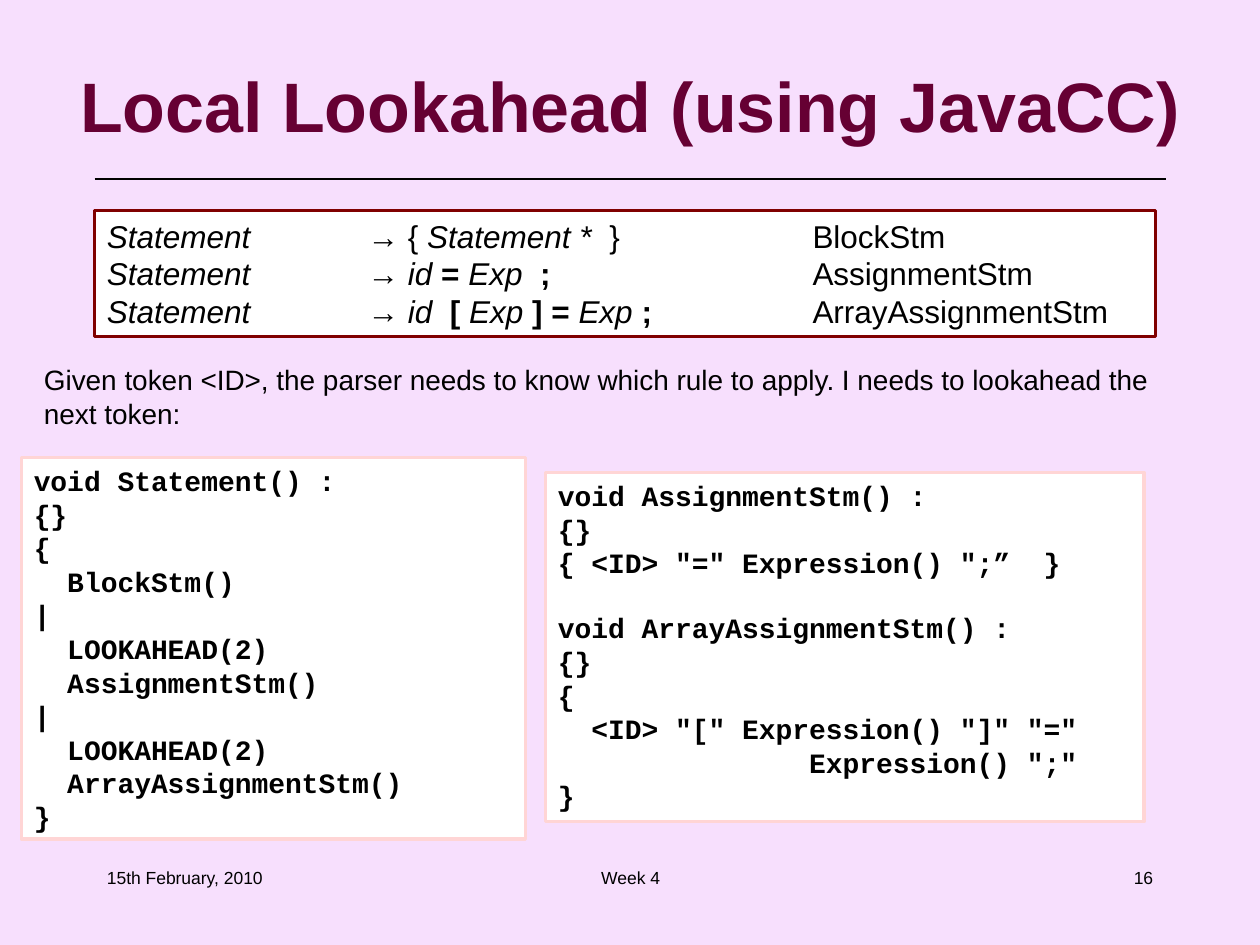
from lxml.etree import SubElement
from pptx import Presentation
from pptx.dml.color import RGBColor
from pptx.enum.shapes import MSO_CONNECTOR, MSO_SHAPE
from pptx.enum.text import MSO_ANCHOR, PP_ALIGN
from pptx.oxml.ns import qn
from pptx.util import Inches, Pt

COLORS = {
    "background": "F7DFFD",
    "title": "660033",
    "text": "000000",
    "panel": "FFFFFF",
    "grammar_border": "800000",
    "code_border": "FFD5D5",
}


def format_run(run, size, font="Arial", color="text", bold=False, italic=False):
    run.font.name = font
    run.font.size = Pt(size)
    run.font.bold = bold
    run.font.italic = italic
    run.font.color.rgb = RGBColor.from_string(COLORS[color])


def add_panel(slide, box, border):
    shape = slide.shapes.add_shape(MSO_SHAPE.RECTANGLE, *map(Inches, box))
    shape.shadow.inherit = False
    shape.fill.solid()
    shape.fill.fore_color.rgb = RGBColor.from_string(COLORS["panel"])
    shape.line.color.rgb = RGBColor.from_string(COLORS[border])
    shape.line.width = Pt(2)
    shape.text_frame.vertical_anchor = MSO_ANCHOR.TOP
    shape.text_frame.word_wrap = True
    return shape.text_frame


presentation = Presentation()
presentation.slide_width = Inches(10)
presentation.slide_height = Inches(7.5)
slide = presentation.slides.add_slide(presentation.slide_layouts[5])
slide.background.fill.solid()
slide.background.fill.fore_color.rgb = RGBColor.from_string(COLORS["background"])

rule = slide.shapes.add_connector(
    MSO_CONNECTOR.STRAIGHT, Inches(0.75), Inches(1.42), Inches(9.25), Inches(1.42)
)
rule.line.color.rgb = RGBColor.from_string(COLORS["text"])
rule.line.width = Pt(0.75)
SubElement(rule._element.spPr, qn("a:effectLst"))

title = slide.shapes.title
title.left, title.top = Inches(0.5), Inches(0.33)
title.width, title.height = Inches(9), Inches(1)
title.text_frame.text = "Local Lookahead (using JavaCC)"
title.text_frame.vertical_anchor = MSO_ANCHOR.MIDDLE
title.text_frame.paragraphs[0].alignment = PP_ALIGN.CENTER
format_run(title.text_frame.paragraphs[0].runs[0], 40, color="title", bold=True)

productions = [
    ([("{", ""), (" Statement *  ", "i"), ("}", "")], "BlockStm"),
    ([("id ", "i"), ("=", "b"), (" Exp  ", "i"), (";", "b")], "AssignmentStm"),
    (
        [("id  ", "i"), ("[", "b"), (" Exp ", "i"), ("] =", "b"), (" Exp ", "i"), (";", "b")],
        "ArrayAssignmentStm",
    ),
]
grammar = add_panel(slide, (0.75, 1.67, 8.42, 1), "grammar_border")
for index, (symbols, name) in enumerate(productions):
    paragraph = grammar.paragraphs[0] if index == 0 else grammar.add_paragraph()
    paragraph.alignment = PP_ALIGN.LEFT
    tab_list = SubElement(paragraph._p.get_or_add_pPr(), qn("a:tabLst"))
    for position in (2, 5.6):
        SubElement(tab_list, qn("a:tab"), pos=str(Inches(position)), algn="l")
    for text, style in [("Statement\t ", "i"), ("→ ", ""), *symbols, ("\t" + name, "")]:
        run = paragraph.add_run()
        run.text = text
        format_run(run, 18, bold=style == "b", italic=style == "i")

statement_code = """void Statement() :
{}
{
  BlockStm()
|
  LOOKAHEAD(2)
  AssignmentStm()
|
  LOOKAHEAD(2)
  ArrayAssignmentStm()
}"""
assignment_code = """void AssignmentStm() :
{}
{ <ID> "=" Expression() ";”  }
void ArrayAssignmentStm() :
{}
{
  <ID> "[" Expression() "]" "="
               Expression() ";"
}"""
for box, code in [
    ((0.17, 3.63, 4, 3.03), statement_code),
    ((4.33, 3.75, 4.75, 2.77), assignment_code),
]:
    text_frame = add_panel(slide, box, "code_border")
    text_frame.text = code
    for index, paragraph in enumerate(text_frame.paragraphs):
        paragraph.alignment = PP_ALIGN.LEFT
        if index and paragraph.text.startswith("void"):
            paragraph.space_before = Pt(18)
        format_run(paragraph.runs[0], 16, "Courier New", bold=True)

explanation = (
    "Given token <ID>, the parser needs to know which rule to apply. "
    "I needs to lookahead the next token:"
)
for box, text, size, alignment in [
    ((0.25, 2.83, 9.08, 0.64), explanation, 16, PP_ALIGN.LEFT),
    ((3.42, 6.83, 3.17, 0.5), "Week 4", 10, PP_ALIGN.CENTER),
    ((7.17, 6.83, 2.08, 0.5), "16", 10, PP_ALIGN.RIGHT),
    ((0.75, 6.83, 2.08, 0.5), "15th February, 2010", 10, PP_ALIGN.LEFT),
]:
    text_frame = slide.shapes.add_textbox(*map(Inches, box)).text_frame
    text_frame.word_wrap = True
    text_frame.text = text
    text_frame.paragraphs[0].alignment = alignment
    format_run(text_frame.paragraphs[0].runs[0], size)

presentation.save("out.pptx")
